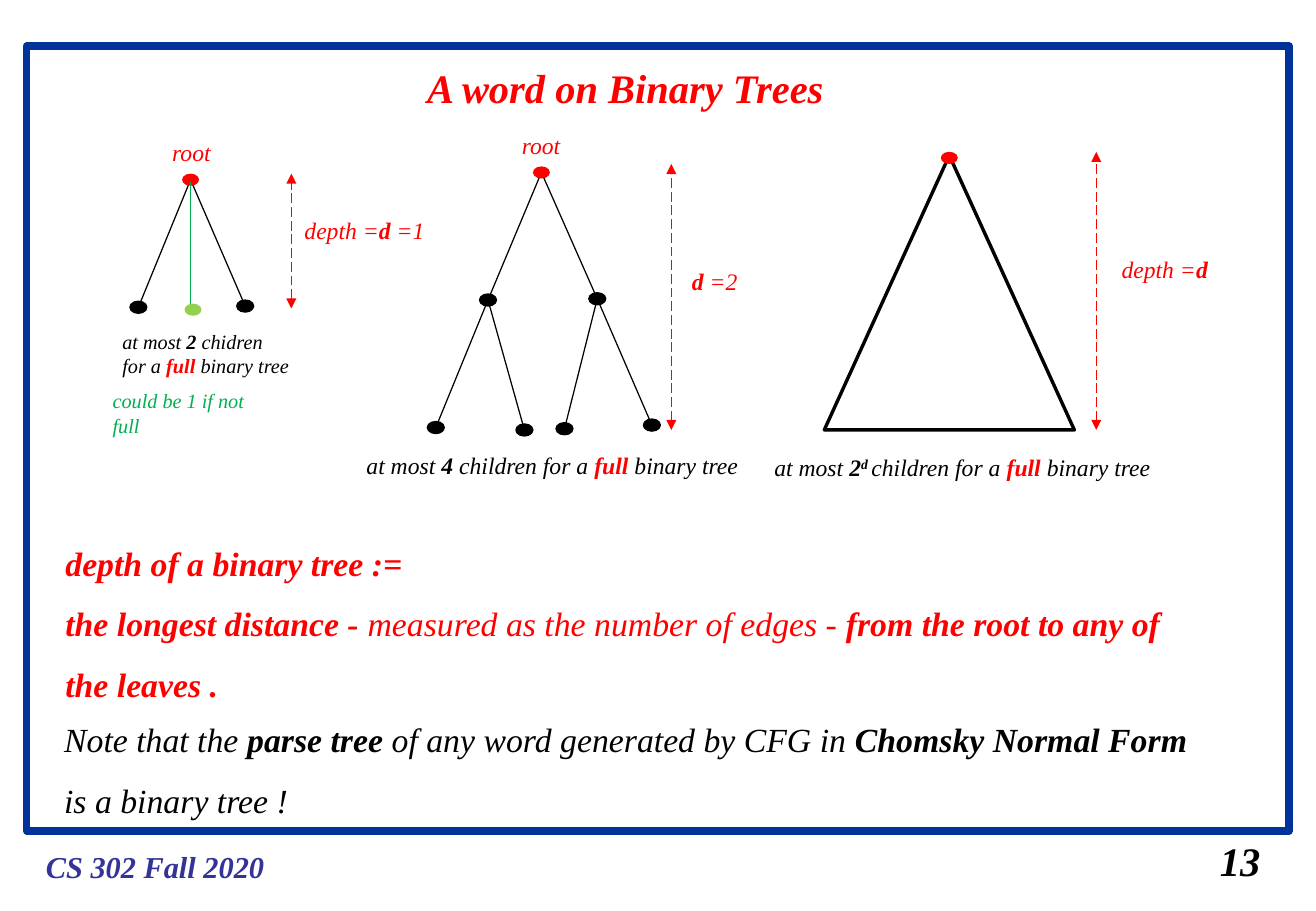
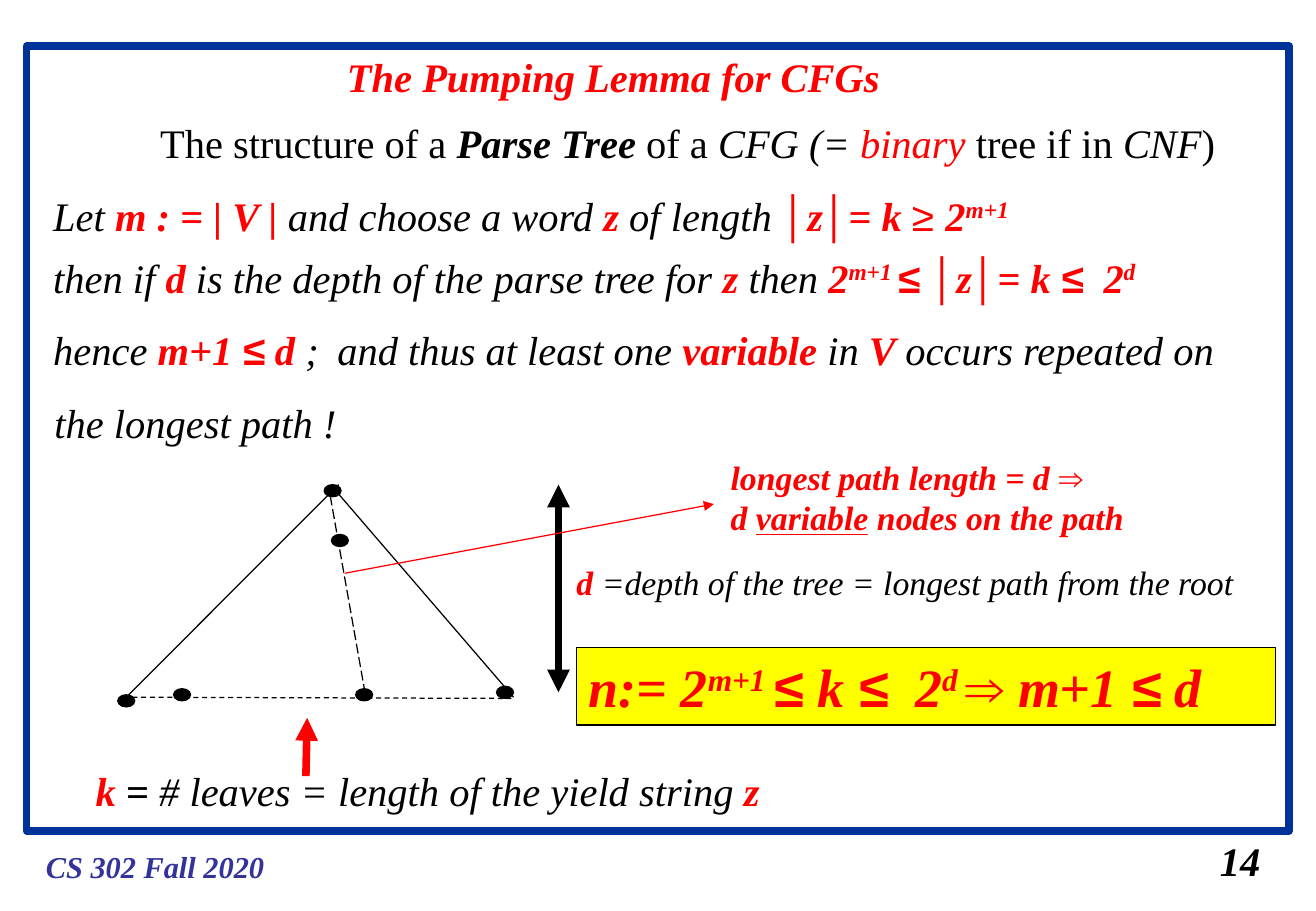
import pptx
import pptx.dml.color
import pptx.enum.dml
import pptx.enum.shapes
import pptx.enum.text
import pptx.oxml.xmlchemy
import pptx.util

Inches = pptx.util.Inches
Pt = pptx.util.Pt
SHAPE = pptx.enum.shapes.MSO_SHAPE
DASH = pptx.enum.dml.MSO_LINE

COLORS = {
    "black": "000000",
    "red": "FF0000",
    "green": "00B050",
    "lime": "92D050",
    "yellow": "FFFF00",
    "frame": "003399",
    "footer": "333399",
}
COLOR_CODES = {"r": "red", "g": "green", "f": "footer"}
FONT_CODES = {
    "b": {"bold": True},
    "i": {"italic": True},
    "u": {"underline": True},
    "a": {"name": "Arial"},
}


def rgb(color):
    return pptx.dml.color.RGBColor.from_string(COLORS[color])


def add_span(para, words, codes, size):
    span = para.add_run()
    span.text = words
    values = {"name": "Times New Roman", "size": Pt(size), "bold": False, "italic": False}
    color = "black"
    for code in codes:
        values.update(FONT_CODES.get(code, {}))
        color = COLOR_CODES.get(code, color)
    for name, value in values.items():
        setattr(span.font, name, value)
    span.font.color.rgb = rgb(color)
    properties = span._r.get_or_add_rPr()
    if "s" in codes:
        properties.set("baseline", "30000")
    if "w" in codes:
        properties.set("spc", str(size * 25))


def add_text(page, place, paras, size=24, leading=None, indent=0):
    box = page.shapes.add_textbox(*map(Inches, place))
    frame = box.text_frame
    values = {
        "word_wrap": leading is not None,
        "auto_size": pptx.enum.text.MSO_AUTO_SIZE.SHAPE_TO_FIT_TEXT,
    }
    for name, value in values.items():
        setattr(frame, name, value)
    for index, spans in enumerate(paras):
        para = frame.add_paragraph() if index else frame.paragraphs[0]
        if leading:
            para.line_spacing = leading
        if indent:
            properties = para._p.get_or_add_pPr()
            properties.set("marL", "0")
            properties.set("indent", str(Inches(indent)))
        for words, codes in spans:
            add_span(para, words, codes, size)
    return box


def add_outline(page, kind, place, color, width):
    shape = page.shapes.add_shape(kind, *map(Inches, place))
    shape.shadow.inherit = False
    shape.fill.background()
    shape.line.color.rgb = rgb(color)
    shape.line.width = Pt(width)
    return shape


def add_dot(page, center, color="black"):
    left, top = center[0] - 0.07, center[1] - 0.05
    dot = add_outline(page, SHAPE.OVAL, (left, top, 0.14, 0.1), color, 0.75)
    dot.fill.solid()
    dot.fill.fore_color.rgb = rgb(color)
    if color != "black":
        dot.line.fill.background()


def add_line(page, start, end, color="black", width=0.75, dash=None, arrows=()):
    line = page.shapes.add_connector(
        pptx.enum.shapes.MSO_CONNECTOR.STRAIGHT, *map(Inches, (*start, *end))
    )
    line.line.color.rgb = rgb(color)
    line.line.width = Pt(width)
    if dash:
        line.line.dash_style = dash
    outline = line.line._get_or_add_ln()
    for arrow in arrows:
        tip = pptx.oxml.xmlchemy.OxmlElement(f"a:{arrow}")
        tip.set("type", "triangle")
        outline.append(tip)
    line._element.spPr.append(pptx.oxml.xmlchemy.OxmlElement("a:effectLst"))


def add_fork(page, parent, children):
    for child in children:
        add_line(page, parent, child)
        add_dot(page, child)


def add_depth(page, x, bottom, top):
    add_line(page, (x, bottom), (x, top), "red", dash=DASH.LONG_DASH,
             arrows=("headEnd", "tailEnd"))


def add_page(deck, number, title, title_place):
    page = deck.slides.add_slide(deck.slide_layouts[6])
    add_outline(page, SHAPE.RECTANGLE, (0.22, 0.38, 10.4, 6.46), "frame", 4.5)
    add_text(page, (0.28, 6.93, 2, 0.4), [[("CS 302 Fall 2020", "bif")]], 18)
    add_text(page, (9.95, 6.83, 0.53, 0.5), [[(str(number), "bi")]])
    add_text(page, title_place, [[(title, "bir")]])
    return page


def full_tree(start, count, exponent=""):
    spans = [(start, "i"), (count, "bi")]
    if exponent:
        spans.append((exponent, "bis"))
    return spans + [("children for a ", "i"), ("full ", "bir"), ("binary tree", "i")]


def add_small_trees(page):
    root, left, right = (1.57, 1.48), (1.14, 2.53), (2.02, 2.52)
    add_fork(page, root, [left, right])
    add_dot(page, root, "red")
    add_line(page, (1.57, 1.5), (1.57, 2.55), "green", 1)
    add_dot(page, (1.59, 2.55), "lime")

    root, left, right = (4.46, 1.42), (4.02, 2.47), (4.92, 2.46)
    add_fork(page, root, [left, right])
    add_fork(page, left, [(3.59, 3.52), (4.32, 3.54)])
    add_fork(page, right, [(4.65, 3.53), (5.37, 3.5)])
    add_dot(page, root, "red")

    for place in ((1.32, 1.09, 0.57, 0.34), (4.2, 1.03, 0.57, 0.34)):
        add_text(page, place, [[("root", "ir")]], 14)


def build_binary_trees(deck):
    page = add_page(deck, 13, "A word on Binary Trees", (3.42, 0.47, 3.58, 0.5))
    add_small_trees(page)
    add_outline(page, SHAPE.ISOSCELES_TRIANGLE, (6.79, 1.28, 2.06, 2.26), "black", 2)
    add_dot(page, (7.82, 1.3), "red")
    for x, bottom, top in ((2.4, 2.54, 1.43), (5.53, 3.54, 1.35), (9.03, 3.54, 1.25)):
        add_depth(page, x, bottom, top)

    labels = [
        ((2.41, 1.73, 1.24, 0.34), [("depth =", "ir"), ("d", "bir"), (" =1", "ir")]),
        ((5.6, 2.15, 0.62, 0.34), [("d", "bir"), (" =2", "ir")]),
        ((9.14, 2.05, 0.91, 0.34), [("depth =", "ir"), ("d", "bir")]),
        ((2.92, 3.66, 3.42, 0.34), full_tree("at most ", "4 ")),
        ((6.28, 3.68, 3.33, 0.34), full_tree("at most ", "2", "d ")),
    ]
    for place, spans in labels:
        add_text(page, place, [spans], 14)
    add_text(page, (0.91, 2.66, 1.58, 0.5), [
        [("at most ", "i"), ("2 ", "bi"), ("chidren", "i")],
        [("for a ", "i"), ("full ", "bir"), ("binary tree", "i")],
    ], 12)
    add_text(page, (0.83, 3.15, 1.54, 0.3), [[("could be 1 if not full", "ig")]], 12)

    add_text(page, (0.44, 4.25, 9.41, 1.6), [
        [("depth of a binary tree :=", "bir")],
        [("the longest distance - ", "bir"),
         ("measured as the number of edges - ", "ir"),
         ("from the root to any of the leaves .", "bir")],
    ], 20, leading=1.5)
    add_text(page, (0.43, 5.7, 9.55, 1.1), [[
        ("Note that the ", "i"), ("parse tree ", "bi"),
        ("of any word generated by CFG in ", "i"),
        ("Chomsky Normal Form ", "bi"), ("is a binary tree !", "i"),
    ]], 20, leading=1.5)


def add_parse_tree(page):
    add_line(page, (2.79, 3.99), (1.04, 5.74))
    add_line(page, (2.74, 4.01), (4.23, 5.74))
    add_line(page, (1.02, 5.74), (4.24, 5.75), dash=DASH.DASH)
    add_line(page, (2.72, 4.08), (3.01, 5.72), dash=DASH.LONG_DASH)
    add_line(page, (2.52, 6.39), (2.53, 5.91), "red", 4.5, arrows=("tailEnd",))
    add_line(page, (4.6, 3.99), (4.6, 5.7), width=4.5, arrows=("headEnd", "tailEnd"))
    add_line(page, (2.84, 4.72), (5.88, 4.15), "red", arrows=("tailEnd",))
    for center in ((1.04, 5.77), (1.5, 5.72), (4.16, 5.7),
                   (2.74, 4.04), (3, 5.72), (2.8, 4.45)):
        add_dot(page, center)


def build_pumping_lemma(deck):
    page = add_page(deck, 14, "The Pumping Lemma for CFGs", (2.76, 0.38, 4.59, 0.5))
    add_text(page, (1.22, 0.92, 8.99, 0.5), [[
        ("The structure of a ", ""), ("Parse Tree ", "bi"), ("of a ", ""),
        ("CFG (= ", "i"), ("binary ", "ir"), ("tree if in ", ""), ("CNF", "i"), (")", ""),
    ]])
    add_parse_tree(page)

    add_text(page, (4.65, 4.58, 5.71, 0.44), [[
        ("d ", "bir"), ("=depth of the tree = longest path from the root", "i"),
    ]], 20)
    add_text(page, (0.69, 6.26, 5.67, 0.5), [[
        ("k", "bir"), (" = ", "bi"),
        ("# leaves = length of the yield string ", "i"), ("z", "bir"),
    ]])
    add_text(page, (5.92, 3.71, 3.58, 0.77), [
        [("longest path length = d ", "bir"), ("⇒", "bira")],
        [("d ", "bir"), ("variable", "biru"), (" nodes on the path", "bir")],
    ], 20)

    power = [("2", "bir"), ("m+1 ", "birs"), ("≤ ", "bira")]
    bound = [("≤", "bira"), (" ", "birw"), ("2", "bir"), ("d ", "birs")]
    length = [("│", "bra"), ("z", "bir"), ("│", "bra"), ("= k ", "bir")]

    result = add_text(page, (4.75, 5.33, 5.76, 0.64), [[
        ("n:= ", "bir"), *power, ("k ", "bir"), *bound,
        ("⇒", "bira"), (" m+1 ", "bir"), ("≤", "bira"), (" d", "bir"),
    ]], 32)
    result.fill.solid()
    result.fill.fore_color.rgb = rgb("yellow")
    result.line.color.rgb = rgb("black")
    result.line.width = Pt(0.75)

    add_text(page, (0.34, 1.32, 9.79, 0.7), [[
        ("Let ", "i"), ("m : = | V | ", "bir"), ("and choose a word ", "i"),
        ("z ", "bir"), ("of length ", "i"), *length,
        ("≥ ", "ra"), ("2", "bir"), ("m+1", "birs"),
    ]], leading=1.5)
    add_text(page, (0.34, 1.83, 9.71, 1.3), [[
        ("then if ", "i"), ("d", "bir"), (" is the depth of the parse tree for ", "i"),
        ("z ", "bir"), ("then ", "i"), *power, *length, *bound,
        ("hence ", "i"), ("m+1 ", "bir"), ("≤", "bira"), (" d ", "bir"), (";", "i"),
    ]], leading=1.5)
    add_text(page, (0.35, 2.43, 10.12, 1.3), [[
        ("and thus at least one ", "i"), ("variable ", "bir"), ("in ", "i"),
        ("V ", "bir"), ("occurs repeated on the longest path !", "i"),
    ]], leading=1.5, indent=2.33)


def main():
    deck = pptx.Presentation()
    deck.slide_width = Inches(10.84)
    deck.slide_height = Inches(7.5)
    build_binary_trees(deck)
    build_pumping_lemma(deck)
    deck.save("out.pptx")


if __name__ == "__main__":
    main()
